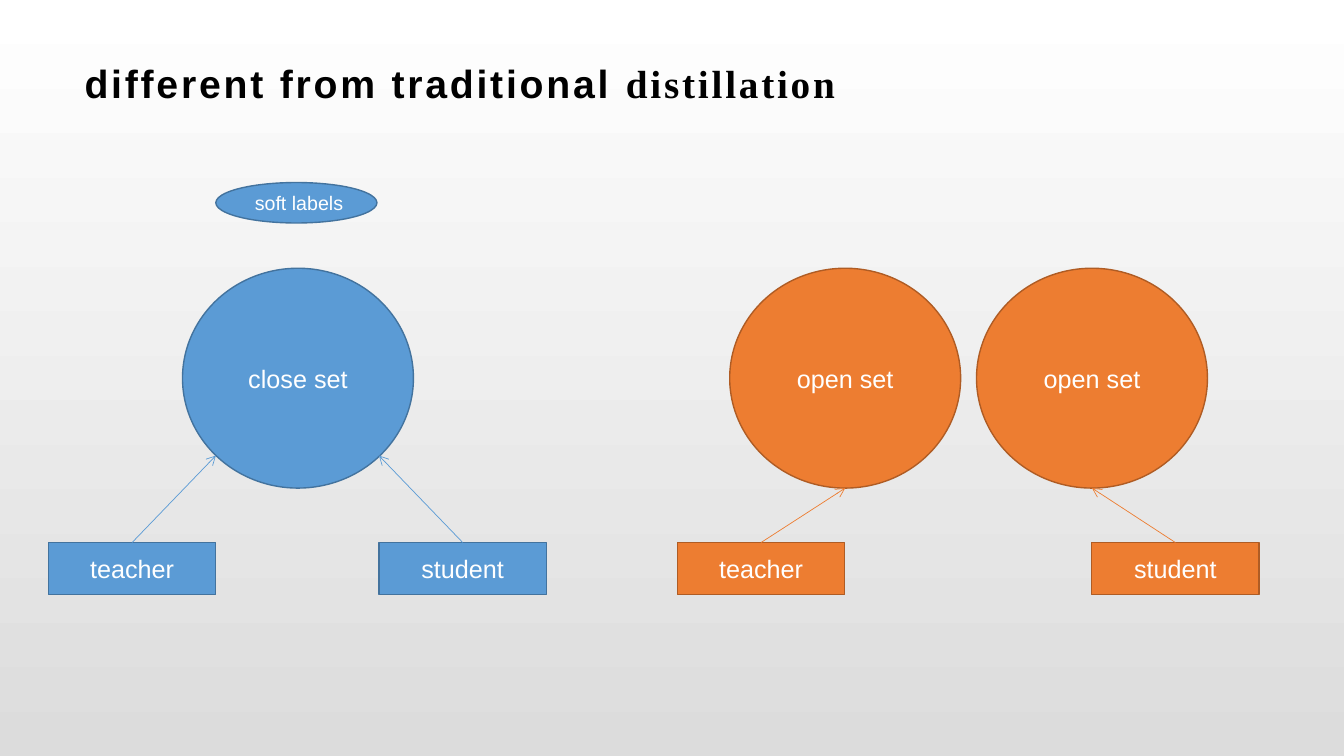
from lxml import etree
from pptx import Presentation
from pptx.dml.color import RGBColor
from pptx.enum import shapes as sh, text as tx
from pptx.oxml import ns
from pptx.util import Cm, Pt

BLACK = RGBColor(0, 0, 0)
WHITE = RGBColor(255, 255, 255)
GREY = RGBColor(0xDC, 0xDC, 0xDC)
BLUE = RGBColor(0x5B, 0x9B, 0xD5)
NAVY = RGBColor(0x43, 0x73, 0x9E)
ORANGE = RGBColor(0xED, 0x7D, 0x31)
RUST = RGBColor(0xAF, 0x5C, 0x24)
OVAL = sh.MSO_SHAPE.OVAL
RECT = sh.MSO_SHAPE.RECTANGLE


def write(para, words, size=18, font="Arial", color=WHITE, bold=False, gap=0):
    run = para.add_run()
    run.text = words
    run.font.size = Pt(size)
    run.font.name = font
    run.font.color.rgb = color
    run.font.bold = bold
    if gap:
        run._r.get_or_add_rPr().set("spc", str(gap * 100))


prs = Presentation()
prs.slide_width, prs.slide_height = Cm(33.87), Cm(19.05)
slide = prs.slides.add_slide(prs.slide_layouts[5])

# Background fading downwards
fill = slide.background.fill
fill.gradient()
fill.gradient_angle = 270
for stop, color in zip(fill.gradient_stops, (WHITE, GREY)):
    stop.color.rgb = color

# Title
title = slide.shapes.title
title.left, title.top, title.width, title.height = Cm(1.85), Cm(1.19), Cm(30.15), Cm(1.8)
frame = title.text_frame
frame.auto_size = tx.MSO_AUTO_SIZE.NONE
frame.word_wrap = True
frame.vertical_anchor = tx.MSO_ANCHOR.MIDDLE
frame.margin_left, frame.margin_right = Cm(0.28), Cm(0.2)
frame.margin_top = frame.margin_bottom = Cm(0.1)
para = frame.paragraphs[0]
para.alignment = tx.PP_ALIGN.LEFT
for words, font in (("different from traditional ", "Arial"),
                    ("distillation", "Times New Roman")):
    write(para, words, size=28, font=font, color=BLACK, bold=True, gap=2)

# Sets, models and soft labels
SET = (OVAL, 6.76, 5.82, 5.54, 18)
MODEL = (RECT, 13.67, 4.22, 1.32, 18)
LABEL = (OVAL, 4.6, 4.06, 1.02, 14)
nodes = (
    (SET, 4.6, "close set", BLUE, NAVY),
    (SET, 18.39, "open set", ORANGE, RUST),
    (SET, 24.61, "open set", ORANGE, RUST),
    (MODEL, 1.22, "teacher", BLUE, NAVY),
    (MODEL, 9.55, "student", BLUE, NAVY),
    (MODEL, 17.07, "teacher", ORANGE, RUST),
    (MODEL, 27.51, "student", ORANGE, RUST),
    (LABEL, 5.44, " soft labels ", BLUE, NAVY),
)
for (kind, top, width, height, size), left, words, color, edge in nodes:
    node = slide.shapes.add_shape(kind, Cm(left), Cm(top), Cm(width), Cm(height))
    node.shadow.inherit = False
    node.fill.solid()
    node.fill.fore_color.rgb = color
    node.line.color.rgb = edge
    node.line.width = Pt(1)
    frame = node.text_frame
    frame.word_wrap = True
    frame.vertical_anchor = tx.MSO_ANCHOR.MIDDLE
    frame.paragraphs[0].alignment = tx.PP_ALIGN.CENTER
    write(frame.paragraphs[0], words, size=size)

# Arrows from the models up to the sets
arrows = (
    (3.33, 5.44, 11.48, BLUE),
    (11.66, 9.55, 11.48, BLUE),
    (19.18, 21.3, 12.3, ORANGE),
    (29.62, 27.52, 12.3, ORANGE),
)
for start, end, top, color in arrows:
    arrow = slide.shapes.add_connector(
        sh.MSO_CONNECTOR.STRAIGHT, Cm(start), Cm(13.67), Cm(end), Cm(top))
    arrow.line.color.rgb = color
    arrow.line.width = Pt(0.5)
    etree.SubElement(arrow.line._get_or_add_ln(), ns.qn("a:tailEnd"), type="arrow")
    etree.SubElement(arrow._element.spPr, ns.qn("a:effectLst"))

prs.save("out.pptx")
